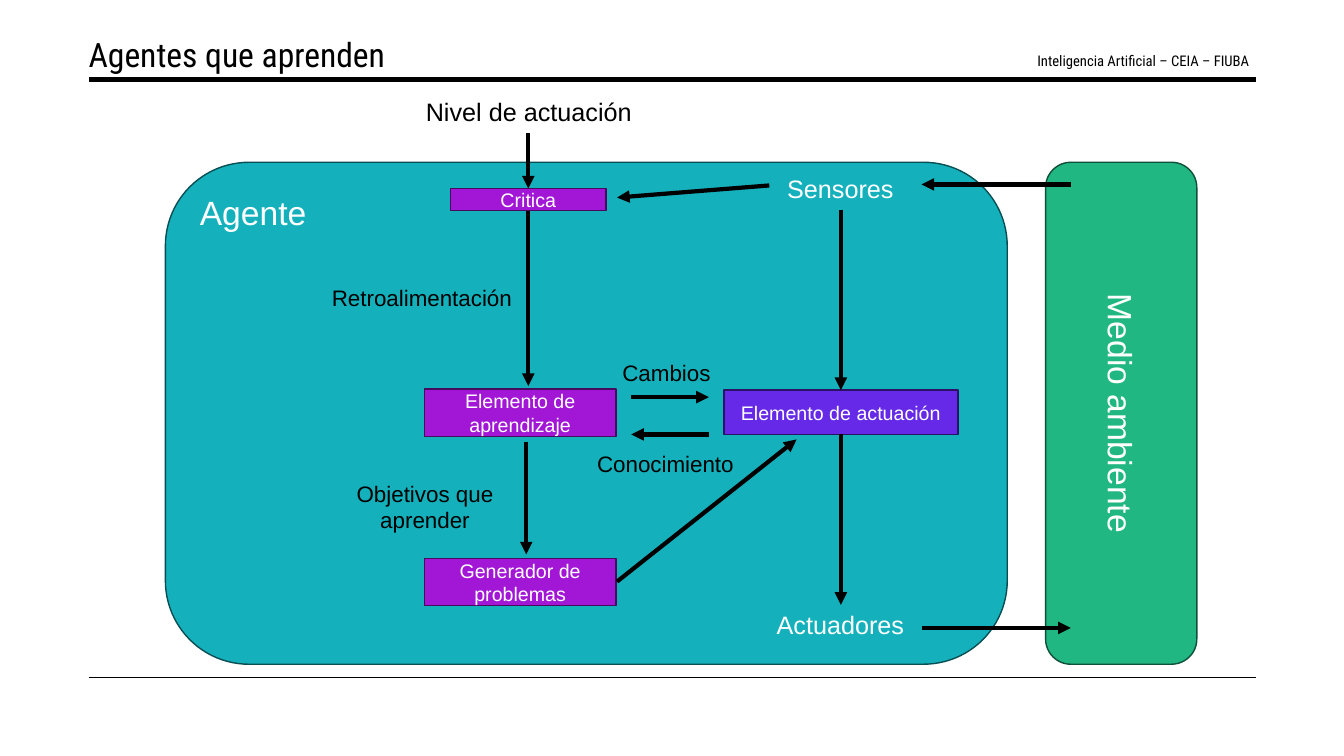
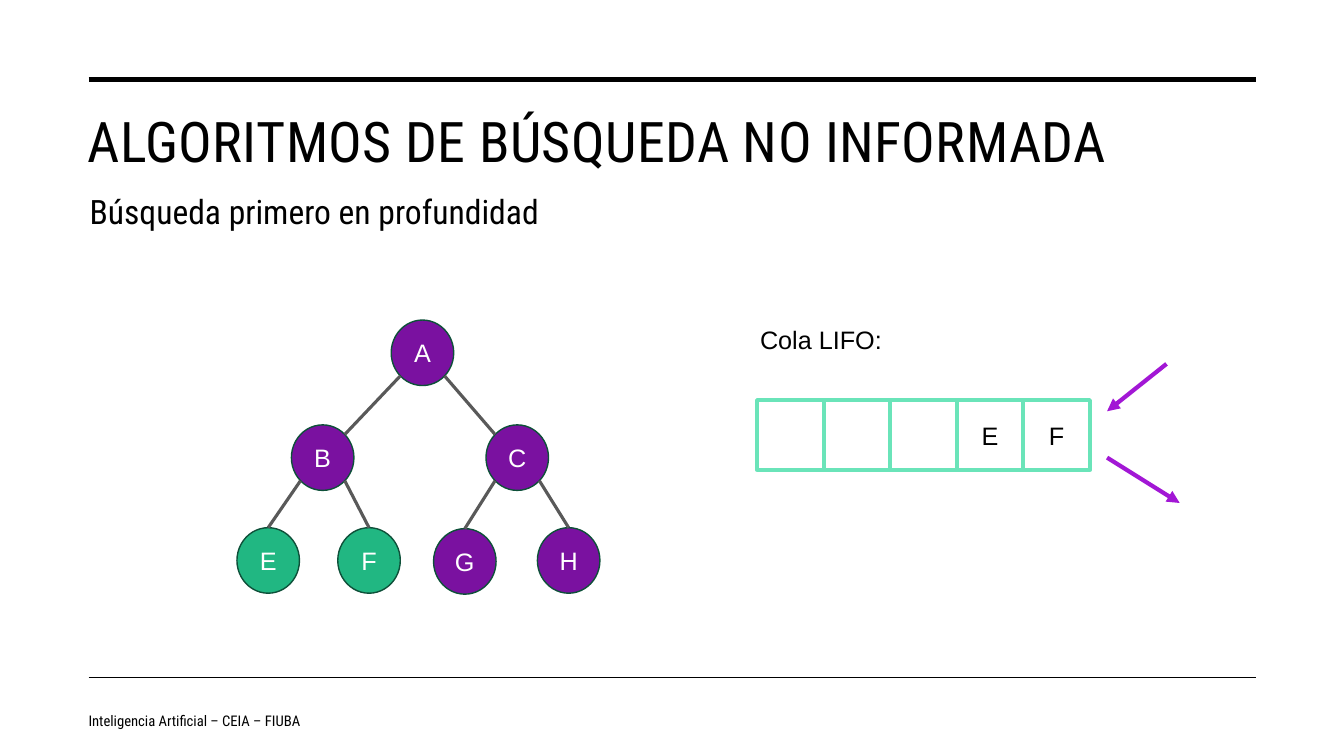
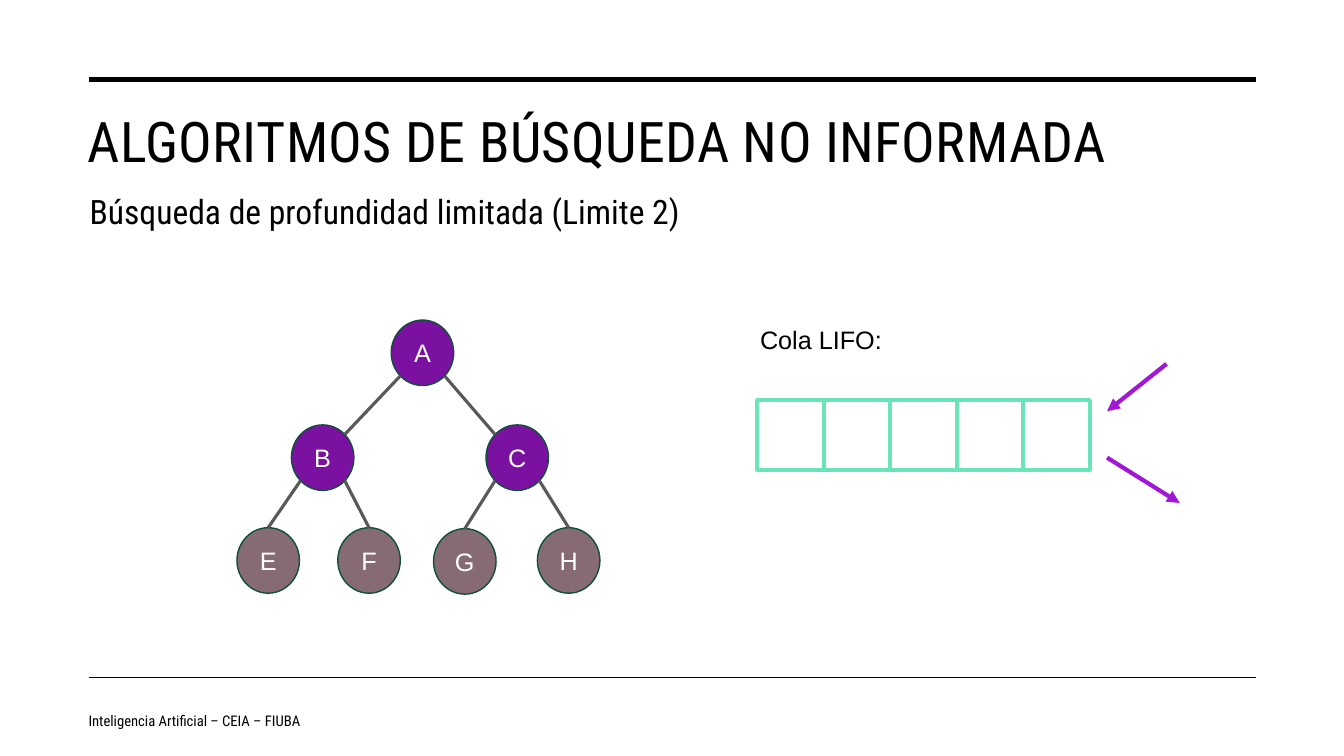
"""Build three slides on learning agents and uninformed search."""
from typing import Any, NamedTuple

from lxml import etree
from pptx import Presentation
from pptx.dml.color import RGBColor
from pptx.enum import shapes as kinds, text as styles
from pptx.oxml import ns
from pptx.util import Inches, Pt

BLACK = RGBColor(0x00, 0x00, 0x00)
WHITE = RGBColor(0xFF, 0xFF, 0xFF)
TEAL = RGBColor(0x14, 0xB1, 0xBC)
DARK_TEAL = RGBColor(0x09, 0x4E, 0x52)
GREEN = RGBColor(0x21, 0xB7, 0x82)
DARK_GREEN = RGBColor(0x0E, 0x50, 0x39)
MINT = RGBColor(0x6A, 0xE4, 0xB9)
MAGENTA = RGBColor(0xA2, 0x17, 0xD5)
DARK_MAGENTA = RGBColor(0x47, 0x0A, 0x5D)
VIOLET = RGBColor(0x65, 0x29, 0xE7)
DARK_VIOLET = RGBColor(0x2C, 0x12, 0x65)
PURPLE = RGBColor(0x7A, 0x11, 0xA0)
MAUVE = RGBColor(0x86, 0x6B, 0x74)
GREY = RGBColor(0x59, 0x59, 0x59)

BODY_FONT = "Arial"
HEADING_FONT = "Roboto Condensed"
COURSE = "Inteligencia Artificial – CEIA – FIUBA"
SEARCH_TITLE = "ALGORITMOS DE BÚSQUEDA NO INFORMADA"

LEFT, CENTER = styles.PP_ALIGN.LEFT, styles.PP_ALIGN.CENTER
TOP, MIDDLE = styles.MSO_ANCHOR.TOP, styles.MSO_ANCHOR.MIDDLE
RECT = kinds.MSO_SHAPE.RECTANGLE
ROUNDED = kinds.MSO_SHAPE.ROUNDED_RECTANGLE
OVAL = kinds.MSO_SHAPE.OVAL


class Box(NamedTuple):
    """Place and size in inches."""
    left: float
    top: float
    width: float
    height: float


class Point(NamedTuple):
    """Position in inches."""
    x: float
    y: float


class Component(NamedTuple):
    """Labelled part of the agent."""
    label: str
    box: Box
    fill: RGBColor = MAGENTA
    outline: RGBColor = DARK_MAGENTA


class Caption(NamedTuple):
    """Free text within the agent diagram."""
    label: str
    box: Box
    size: float = 16
    color: RGBColor = BLACK


class Node(NamedTuple):
    """Tree node with its centre and parent."""
    label: str
    center: Point
    parent: str = ""


COMPONENTS = (
    Component("Critica", Box(4.47, 1.87, 1.54, 0.22)),
    Component("Elemento de aprendizaje", Box(4.21, 3.86, 1.9, 0.47)),
    Component("Elemento de actuación", Box(7.18, 3.87, 2.32, 0.44), VIOLET, DARK_VIOLET),
    Component("Generador de problemas", Box(4.21, 5.54, 1.9, 0.47)),
)
CAPTIONS = (
    Caption("Sensores", Box(7.46, 1.67, 1.75, 0.4), 18, WHITE),
    Caption("Actuadores", Box(7.38, 6, 1.91, 0.4), 18, WHITE),
    Caption("Nivel de actuación", Box(3.86, 0.91, 2.77, 0.4), 18),
    Caption("Cambios", Box(5.92, 3.51, 1.38, 0.37)),
    Caption("Conocimiento", Box(5.75, 4.42, 1.7, 0.37)),
    Caption("Retroalimentación", Box(3.18, 2.77, 2.01, 0.37)),
    Caption("Objetivos que aprender", Box(3.21, 4.71, 2.01, 0.64)),
)
AGENT_ARROWS = (
    (Point(10.62, 1.83), Point(9.14, 1.83)),
    (Point(9.14, 6.23), Point(10.62, 6.23)),
    (Point(8.34, 2.08), Point(8.34, 3.87)),
    (Point(7.63, 1.84), Point(6.12, 1.96)),
    (Point(5.24, 1.32), Point(5.24, 1.87)),
    (Point(8.34, 4.31), Point(8.34, 6)),
    (Point(6.26, 3.94), Point(7.03, 3.94)),
    (Point(7.03, 4.31), Point(6.26, 4.31)),
    (Point(6.12, 5.77), Point(7.9, 4.36)),
    (Point(5.24, 2.09), Point(5.24, 3.83)),
    (Point(5.22, 4.39), Point(5.22, 5.5)),
)

NODE_WIDTH, NODE_HEIGHT = 0.62, 0.65
DIAGONAL_X, DIAGONAL_Y = 0.22, 0.23
TREE = (
    Node("A", Point(4.19, 3.5)),
    Node("B", Point(3.2, 4.54), "A"),
    Node("C", Point(5.13, 4.54), "A"),
    Node("E", Point(2.66, 5.56), "B"),
    Node("F", Point(3.66, 5.56), "B"),
    Node("G", Point(4.61, 5.57), "C"),
    Node("H", Point(5.64, 5.56), "C"),
)
QUEUE_SLOTS = 5
SLOT = Box(7.51, 3.97, 0.66, 0.69)
QUEUE_ARROWS = (
    (Point(11.57, 3.61), Point(10.98, 4.08)),
    (Point(10.98, 4.54), Point(11.7, 4.99)),
)


def write(frame: Any, content: str, *, size: float = 18, color: RGBColor = BLACK,
          font: str = BODY_FONT, align: Any = LEFT, anchor: Any = TOP,
          spacing: int = 0, after: float = 0) -> None:
    """Put formatted text in a text frame."""
    frame.word_wrap = True
    frame.vertical_anchor = anchor
    paragraph = frame.paragraphs[0]
    paragraph.alignment = align
    paragraph.space_after = Pt(after)
    run = paragraph.add_run()
    run.text = content
    run.font.size = Pt(size)
    run.font.name = font
    run.font.color.rgb = color
    if spacing:
        run.font._element.set("spc", str(spacing))


def add_label(slide: Any, content: str, box: Box, **style: Any) -> None:
    """Add a text box."""
    label = slide.shapes.add_textbox(*map(Inches, box))
    write(label.text_frame, content, **style)


def add_block(slide: Any, kind: Any, box: Box, fill: RGBColor, outline: RGBColor,
              content: str = "", weight: float = 1, rotation: float = 0,
              **style: Any) -> None:
    """Add a filled shape with optional text."""
    block = slide.shapes.add_shape(kind, *map(Inches, box))
    block.shadow.inherit = False
    block.rotation = rotation
    block.fill.solid()
    block.fill.fore_color.rgb = fill
    block.line.color.rgb = outline
    block.line.width = Pt(weight)
    if content:
        write(block.text_frame, content,
              **{"color": WHITE, "align": CENTER, "anchor": MIDDLE, **style})


def add_line(slide: Any, start: Point, end: Point, color: RGBColor = BLACK,
             weight: float = 3, arrow: bool = False) -> None:
    """Add a straight line, with an arrowhead at its end if asked."""
    line = slide.shapes.add_connector(
        kinds.MSO_CONNECTOR.STRAIGHT, *map(Inches, (*start, *end)))
    line.line.color.rgb = color
    line.line.width = Pt(weight)
    if arrow:
        etree.SubElement(line.line._get_or_add_ln(), ns.qn("a:tailEnd"), type="triangle")
    etree.SubElement(line._element.spPr, ns.qn("a:effectLst"))


def add_base(deck: Any, heading: str, heading_box: Box, course_box: Box) -> Any:
    """Add a slide with its rules, heading and course name."""
    slide = deck.slides.add_slide(deck.slide_layouts[6])
    for y, weight in ((0.79, 3.5), (6.72, 1)):
        add_line(slide, Point(0.88, y), Point(12.46, y), weight=weight)
    add_label(slide, COURSE, course_box, size=10.5, font=HEADING_FONT,
              anchor=MIDDLE, after=6)
    add_label(slide, heading, heading_box, size=24, font=HEADING_FONT)
    return slide


def add_agent_slide(deck: Any) -> None:
    """Draw the learning agent and its environment."""
    slide = add_base(deck, "Agentes que aprenden", Box(0.78, 0.29, 8.38, 0.5),
                     Box(10.19, 0.4, 2.92, 0.4))
    add_block(slide, ROUNDED, Box(1.64, 1.61, 8.35, 4.98), TEAL, DARK_TEAL, "Agente",
              size=24, align=LEFT, anchor=TOP)
    add_block(slide, ROUNDED, Box(8.63, 3.35, 4.98, 1.5), GREEN, DARK_GREEN,
              "Medio ambiente", rotation=90, size=24)
    for part in COMPONENTS:
        add_block(slide, RECT, part.box, part.fill, part.outline, part.label, size=14)
    for caption in CAPTIONS:
        add_label(slide, caption.label, caption.box, size=caption.size,
                  color=caption.color, align=CENTER)
    for start, end in AGENT_ARROWS:
        add_line(slide, start, end, arrow=True)


def add_tree(slide: Any, leaf_colors: dict[str, RGBColor]) -> None:
    """Draw the search tree and join each node to its parent."""
    centers = {node.label: node.center for node in TREE}
    parents = {node.parent for node in TREE}
    for node in TREE:
        x, y = node.center
        add_block(slide, OVAL,
                  Box(x - NODE_WIDTH / 2, y - NODE_HEIGHT / 2, NODE_WIDTH, NODE_HEIGHT),
                  leaf_colors.get(node.label, PURPLE), DARK_GREEN, node.label)
        if not node.parent:
            continue
        origin = centers[node.parent]
        side = 1 if x > origin.x else -1
        start = Point(origin.x + side * DIAGONAL_X, origin.y + DIAGONAL_Y)
        if node.label in parents:
            end = Point(x - side * DIAGONAL_X, y - DIAGONAL_Y)
        else:
            end = Point(x, y - NODE_HEIGHT / 2)
        add_line(slide, start, end, GREY, 2.25)


def add_queue(slide: Any, waiting: str) -> None:
    """Draw the queue with its waiting nodes at the right end."""
    add_label(slide, "Cola LIFO:", Box(7.44, 3.17, 1.46, 0.4))
    first = QUEUE_SLOTS - len(waiting)
    for index in reversed(range(QUEUE_SLOTS)):
        content = waiting[index - first] if index >= first else ""
        add_block(slide, RECT, SLOT._replace(left=SLOT.left + index * SLOT.width),
                  WHITE, MINT, content, weight=3, color=BLACK)
    for start, end in QUEUE_ARROWS:
        add_line(slide, start, end, MAGENTA, arrow=True)


def add_search_slide(deck: Any, method: str, leaf_colors: dict[str, RGBColor],
                     waiting: str = "") -> None:
    """Draw one state of a search method."""
    slide = add_base(deck, method, Box(0.79, 1.84, 8.38, 0.5), Box(0.78, 6.95, 4.96, 0.4))
    add_label(slide, SEARCH_TITLE, Box(0.77, 1.01, 11.69, 0.8), size=40,
              font=HEADING_FONT, spacing=30)
    add_tree(slide, leaf_colors)
    add_queue(slide, waiting)


def main() -> None:
    """Build and save the deck."""
    deck = Presentation()
    deck.slide_width, deck.slide_height = Inches(13.33), Inches(7.5)
    add_agent_slide(deck)
    add_search_slide(deck, "Búsqueda primero en profundidad",
                     dict.fromkeys("EF", GREEN), "EF")
    add_search_slide(deck, "Búsqueda de profundidad limitada (Limite 2)",
                     dict.fromkeys("EFGH", MAUVE))
    deck.save("out.pptx")


if __name__ == "__main__":
    main()
